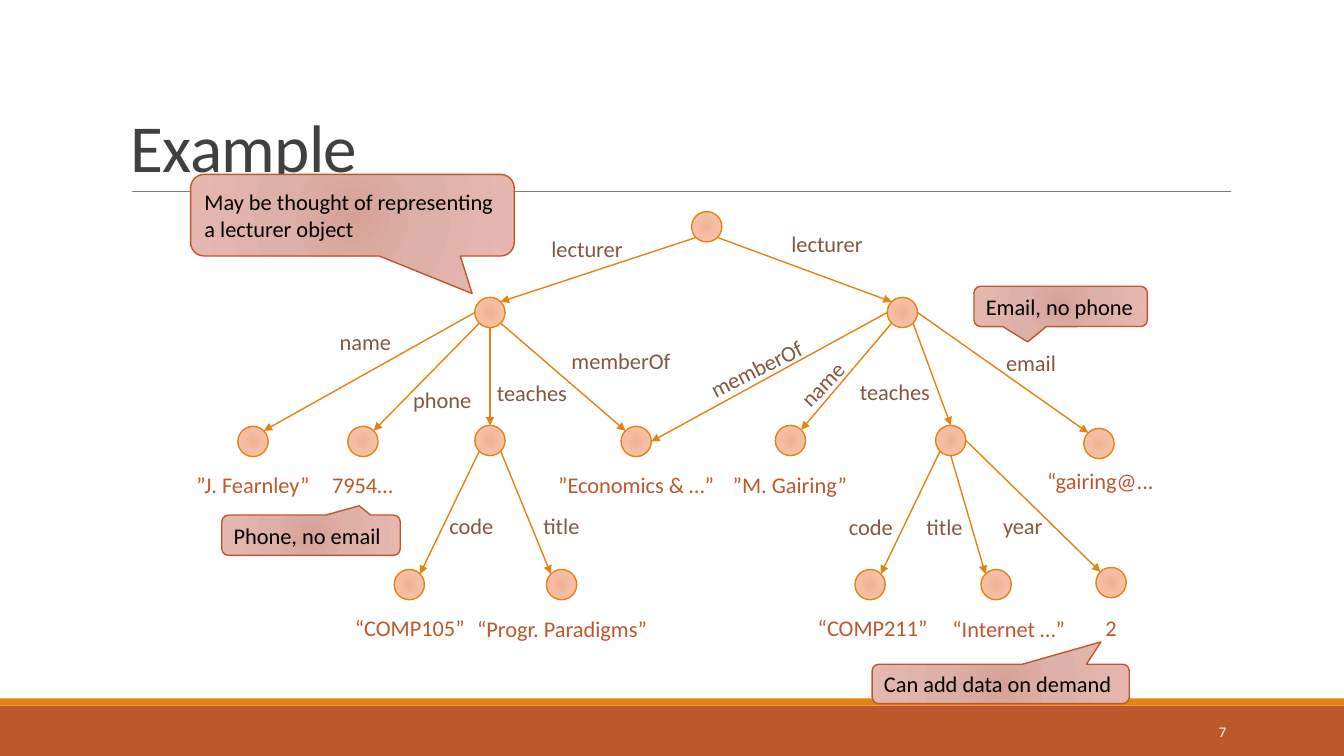
from dataclasses import dataclass
from math import cos, radians, sin

from lxml import etree
from pptx import Presentation
from pptx.dml.color import RGBColor
from pptx.enum.shapes import MSO_CONNECTOR, MSO_SHAPE
from pptx.enum.text import MSO_ANCHOR, MSO_AUTO_SIZE, PP_ALIGN
from pptx.oxml.ns import qn
from pptx.util import Pt

PX = 9144
RECT, OVAL = MSO_SHAPE.RECTANGLE, MSO_SHAPE.OVAL
CALLOUT = MSO_SHAPE.ROUNDED_RECTANGULAR_CALLOUT
STRAIGHT = MSO_CONNECTOR.STRAIGHT
GROW = MSO_AUTO_SIZE.SHAPE_TO_FIT_TEXT
LEFT, CENTER, RIGHT = PP_ALIGN.LEFT, PP_ALIGN.CENTER, PP_ALIGN.RIGHT
TOP, MIDDLE, BOTTOM = MSO_ANCHOR.TOP, MSO_ANCHOR.MIDDLE, MSO_ANCHOR.BOTTOM


@dataclass(frozen=True)
class Theme:
    font: str = "Calibri"
    title_size: float = 48
    body_size: float = 16
    number_size: float = 10.5
    title: str = "404040"
    rule: str = "808080"
    edge: str = "E48312"
    accent: str = "BD582C"
    label: str = "865640"
    black: str = "000000"
    white: str = "FFFFFF"
    node_fill: tuple = ("F0B191", "F5BEA4", "FDC3A8")
    callout_fill: tuple = ("D7A197", "DEB1A8", "E6B7AE")


THEME = Theme()
NODE = 30
TEXT_H = 37
ANGLES = {"right": 0, "bottom right": 45, "bottom": 90, "bottom left": 135,
          "left": 180, "top left": 225, "top": 270, "top right": 315}

NODES = {
    "root": (686, 210),
    "fearnley": (471, 295), "gairing": (880, 295),
    "f name": (236, 423), "f phone": (345, 423), "f course": (471, 422),
    "department": (616, 423), "g name": (769, 422), "g course": (928, 422),
    "g email": (1075, 425),
    "f code": (391, 565), "f title": (542, 565),
    "g code": (848, 565), "g title": (973, 565), "g year": (1087, 563),
}
EDGES = [
    ("root", "bottom left", "fearnley", "top right"),
    ("root", "bottom right", "gairing", "top left"),
    ("fearnley", "left", "f name", "top right"),
    ("fearnley", "bottom left", "f phone", "top right"),
    ("fearnley", "bottom", "f course", "top"),
    ("fearnley", "bottom right", "department", "top left"),
    ("gairing", "left", "department", "right"),
    ("gairing", "bottom left", "g name", "top right"),
    ("gairing", "bottom right", "g course", "top"),
    ("gairing", "right", "g email", "top left"),
    ("f course", "bottom left", "f code", "top right"),
    ("f course", "bottom right", "f title", "top left"),
    ("g course", "bottom left", "g code", "top right"),
    ("g course", "bottom", "g title", "top left"),
    ("g course", "right", "g year", "top left"),
]
EDGE_LABELS = [
    ("lecturer", 537, 228, 92, 0), ("lecturer", 775, 223, 92, 0),
    ("name", 327, 321, 72, 0), ("phone", 400, 378, 79, 0),
    ("teaches", 483, 371, 91, 0), ("memberOf", 557, 339, 120, 0),
    ("memberOf", 691, 347, 120, 333.4), ("name", 780, 362, 72, 314.1),
    ("teaches", 843, 370, 91, 0), ("email", 988, 341, 70, 0),
    ("code", 436, 503, 64, 0), ("title", 529, 503, 57, 0),
    ("code", 832, 504, 64, 0), ("title", 909, 504, 57, 0),
    ("year", 985, 503, 60, 0),
]
VALUES = [
    ("”J. Fearnley”", 184, 462, 134), ("7954…", 318, 462, 83),
    ("”Economics & …”", 543, 462, 176), ("”M. Gairing”", 716, 462, 135),
    ("“gairing@...", 1028, 459, 127),
    ("“COMP105”", 341, 604, 131), ("“Progr. Paradigms”", 462, 605, 191),
    ("“COMP211”", 800, 604, 131), ("“Internet …”", 934, 605, 133),
    ("2", 1086, 604, 32),
]
CALLOUTS = [
    ("May be thought of representing a lecturer object",
     (189, 173, 321, 81), (0.37, 0.96)),
    ("Phone, no email", (220, 511, 177, 40), (0.27, -0.73)),
    ("Can add data on demand", (865, 659, 255, 39), (0.39, -1.07)),
    ("Email, no phone", (966, 284, 172, 40), (-0.19, 0.88)),
]


def rgb(color):
    return RGBColor.from_string(color)


def emu(*lengths):
    return [round(v * PX) for v in lengths]


def set_text(s, text, size, color, align=LEFT, anchor=TOP):
    tf = s.text_frame
    tf.vertical_anchor = anchor
    p = tf.paragraphs[0]
    p.alignment = align
    p.add_run().text = text
    p.font.name = THEME.font
    p.font.size = Pt(size)
    p.font.color.rgb = rgb(color)


def add_text(slide, text, box, size, color, align=LEFT, anchor=TOP, wrap=True):
    s = slide.shapes.add_textbox(*emu(*box))
    s.text_frame.word_wrap = wrap
    if not wrap:
        s.text_frame.auto_size = GROW
    set_text(s, text, size, color, align, anchor)
    return s


def add_bar(slide, box, color):
    s = slide.shapes.add_shape(RECT, *emu(*box))
    s.shadow.inherit = False
    s.fill.solid()
    s.fill.fore_color.rgb = rgb(color)
    s.line.fill.background()


def add_glowing(slide, kind, box, colors, line):
    s = slide.shapes.add_shape(kind, *emu(*box))
    s.shadow.inherit = False
    s.line.color.rgb = rgb(line)
    s.line.width = Pt(1)
    grad = etree.Element(qn("a:gradFill"), rotWithShape="1")
    stops = etree.SubElement(grad, qn("a:gsLst"))
    for pos, color in zip((0, 45000, 100000), colors):
        stop = etree.SubElement(stops, qn("a:gs"), pos=str(pos))
        etree.SubElement(stop, qn("a:srgbClr"), val=color)
    circle = etree.SubElement(grad, qn("a:path"), path="circle")
    etree.SubElement(circle, qn("a:fillToRect"),
                     {side: "100000" for side in "ltrb"})
    s._element.spPr.find(qn("a:prstGeom")).addnext(grad)
    return s


def add_line(slide, start, end, color, width, arrow=False):
    s = slide.shapes.add_connector(STRAIGHT, *emu(*start, *end))
    s.line.color.rgb = rgb(color)
    s.line.width = Pt(width)
    if arrow:
        etree.SubElement(s.line._get_or_add_ln(), qn("a:tailEnd"),
                         type="triangle")
    etree.SubElement(s._element.spPr, qn("a:effectLst"))


def node_site(node, side):
    x, y = NODES[node]
    r, angle = NODE / 2, radians(ANGLES[side])
    return x + r + r * cos(angle), y + r + r * sin(angle)


def add_callout(slide, text, box, tip):
    s = add_glowing(slide, CALLOUT, box, THEME.callout_fill, THEME.accent)
    s.adjustments[0], s.adjustments[1] = tip
    s.text_frame.word_wrap = True
    set_text(s, text, THEME.body_size, THEME.black, anchor=MIDDLE)


def add_frame(slide):
    add_bar(slide, (0, 700, 1333, 50), THEME.accent)
    add_bar(slide, (0, 693, 1333, 7), THEME.edge)
    add_line(slide, (131, 190), (1221, 190), THEME.rule, 0.5)
    s = add_text(slide, "Example", (120, 31, 1100, 159), THEME.title_size,
                 THEME.title, anchor=BOTTOM)
    p = s.text_frame.paragraphs[0]
    p.line_spacing = 0.85
    p.runs[0].font._element.set("spc", "-50")
    add_text(slide, "7", (1083, 706, 143, 40), THEME.number_size,
             THEME.white, RIGHT, MIDDLE)


def main():
    prs = Presentation()
    prs.slide_width, prs.slide_height = emu(1333, 750)
    slide = prs.slides.add_slide(prs.slide_layouts[6])
    add_frame(slide)
    for x, y in NODES.values():
        add_glowing(slide, OVAL, (x, y, NODE, NODE), THEME.node_fill, THEME.edge)
    for parent, out_side, child, in_side in EDGES:
        add_line(slide, node_site(parent, out_side), node_site(child, in_side),
                 THEME.edge, 1, arrow=True)
    for text, x, y, w, angle in EDGE_LABELS:
        s = add_text(slide, text, (x, y, w, TEXT_H), THEME.body_size,
                     THEME.label, wrap=False)
        s.rotation = angle
    for text, x, y, w in VALUES:
        add_text(slide, text, (x, y, w, TEXT_H), THEME.body_size,
                 THEME.accent, CENTER, wrap=False)
    for text, box, tip in CALLOUTS:
        add_callout(slide, text, box, tip)
    prs.save("out.pptx")


if __name__ == "__main__":
    main()
